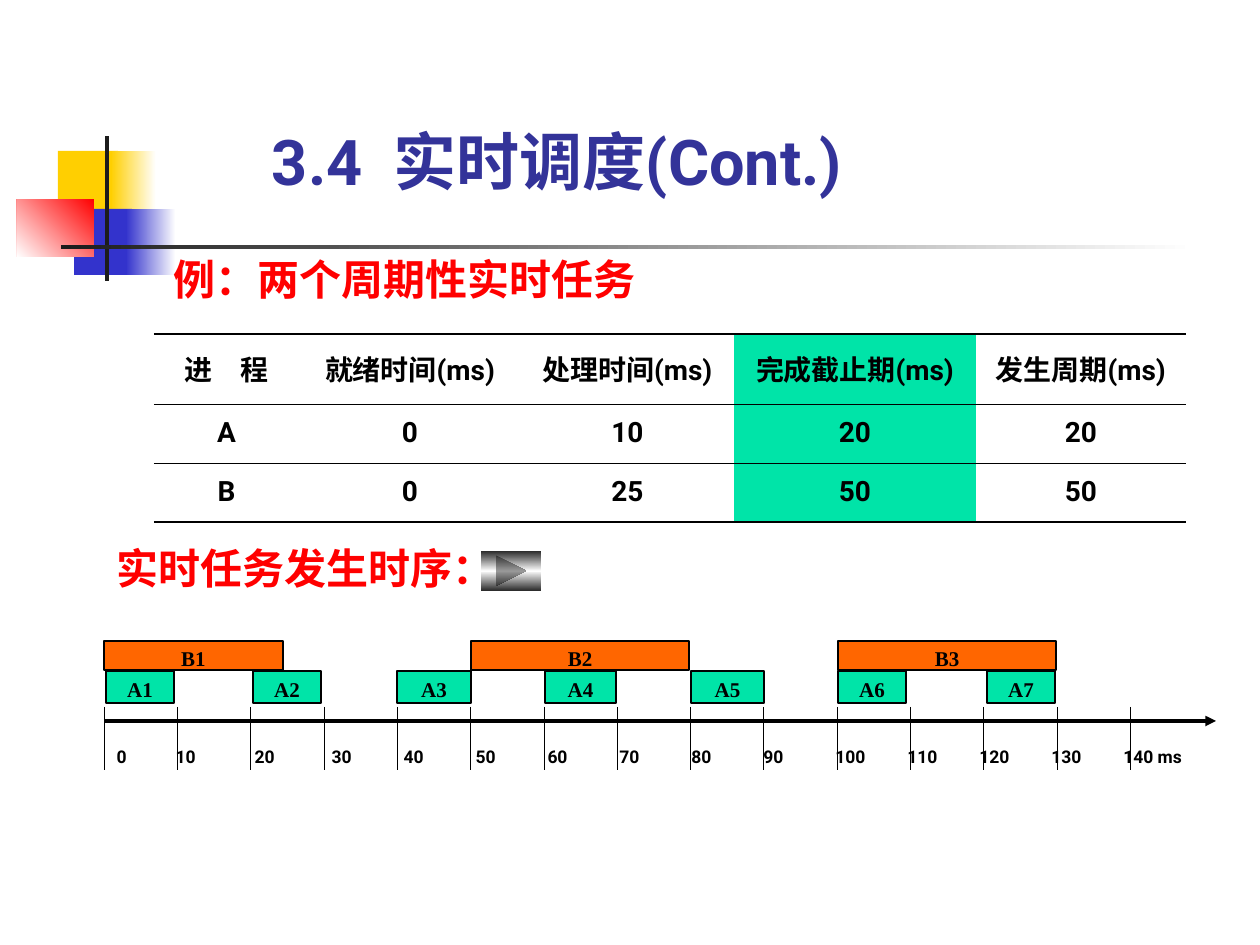
from pptx import Presentation
from pptx.dml.color import RGBColor
from pptx.enum.lang import MSO_LANGUAGE_ID as LANG
from pptx.enum.shapes import MSO_CONNECTOR as CONN, MSO_SHAPE as SHAPE
from pptx.enum.text import MSO_ANCHOR as ANCHOR, PP_ALIGN as ALIGN
from pptx.oxml import parse_xml
from pptx.oxml.ns import nsdecls, qn
from pptx.util import Pt

SCALE = 914400 / 126
BLACK, WHITE, GREEN, ORANGE, RED = "000000", "FFFFFF", "00E4A8", "FF6600", "FF0000"
YELLOW, BLUE, DARK, TITLE_BLUE = "FFCF01", "3333CC", "1C1C1C", "333399"
SANS, SERIF = "Roboto", "Times New Roman"
NO_STYLE = "{2D5ABB26-0587-4C30-8999-92F81FD0307C}"

# box, colours from start to end, angle
DECOR = [
    ((58, 151, 60, 66), [YELLOW], 0),
    ((111, 151, 45, 66), [WHITE, YELLOW], 180),
    ((74, 209, 58, 66), [BLUE], 0),
    ((126, 209, 50, 66), [WHITE, BLUE], 180),
    ((17, 199, 77, 58), [RED, WHITE], 135),
    ((105, 136, 4, 145), [DARK], 0),
    ((61, 245, 1134, 4), [WHITE, DARK], 180),
]
TITLE = ("3.4  实时调度(Cont.)", (272, 108, 689, 90), 36, SANS, TITLE_BLUE)
EXAMPLE = ("例：两个周期性实时任务", (174, 248, 882, 67), 24, SANS, RED)
SEQUENCE = ("实时任务发生时序：", (117, 543, 392, 61), 24, SERIF, RED)
TASKS = [
    ["进　程", "就绪时间(ms)", "处理时间(ms)", "完成截止期(ms)", "发生周期(ms)"],
    ["A", "0", "10", "20", "20"],
    ["B", "0", "25", "50", "50"],
]
TASK_COLS, TASK_ROWS, DEADLINE_COL = [145, 222, 213, 242, 210], [70, 59, 59], 3
TIMES = [str(t) for t in range(0, 140, 10)] + ["140 ms"]
TIME_COLS = [59, 79, 77] + [72] * 11 + [92]
AXIS_LEFT, AXIS_RIGHT, AXIS_Y, AXIS_WIDTH = 104, 1216, 721, 1100
BARS = [
    ("A", 671, 32, GREEN, [(106, 68), (253, 68), (397, 74), (545, 71),
                           (691, 73), (838, 68), (987, 68)]),
    ("B", 641, 29, ORANGE, [(104, 179), (471, 218), (838, 218)]),
]


def px(n):
    return round(n * SCALE)


def rgb(h):
    return RGBColor.from_string(h)


def add_run(p, text, size, font, color):
    r = p.add_run()
    r.text = text
    f = r.font
    f.size, f.name, f.bold, f.language_id = Pt(size), font, True, LANG.SIMPLIFIED_CHINESE
    f.color.rgb = rgb(color)


def set_insets(tf, left=0, top=0, right=0, bottom=0):
    tf.margin_left, tf.margin_top = px(left), px(top)
    tf.margin_right, tf.margin_bottom = px(right), px(bottom)


def add_text(s, text, box, size, font, color, anchor=ANCHOR.TOP, spacing=1):
    tf = s.shapes.add_textbox(*map(px, box)).text_frame
    tf.word_wrap = True
    tf.vertical_anchor = anchor
    set_insets(tf)
    tf.paragraphs[0].line_spacing = spacing
    add_run(tf.paragraphs[0], text, size, font, color)


def add_box(s, box, colors, angle=0, kind=SHAPE.RECTANGLE):
    sp = s.shapes.add_shape(kind, *map(px, box))
    sp.shadow.inherit = False
    sp.line.fill.background()
    if len(colors) == 1:
        sp.fill.solid()
        sp.fill.fore_color.rgb = rgb(colors[0])
        return sp
    step = 100000 // (len(colors) - 1)
    stops = "".join(f'<a:gs pos="{i * step}"><a:srgbClr val="{c}"/></a:gs>'
                    for i, c in enumerate(colors))
    sp._element.spPr.find(qn("a:prstGeom")).addnext(parse_xml(
        f'<a:gradFill rotWithShape="1" {nsdecls("a")}><a:gsLst>{stops}</a:gsLst>'
        f'<a:lin ang="{angle * 60000}" scaled="0"/></a:gradFill>'))
    return sp


def add_grid(s, left, top, cols, rows):
    width, height = sum(cols), sum(rows)
    table = s.shapes.add_table(len(rows), len(cols), px(left), px(top),
                               px(width), px(height)).table
    table.first_row = table.horz_banding = False
    table._tbl.tblPr[0].text = NO_STYLE
    for col, w in zip(table.columns, cols):
        col.width = px(w)
    for row, h in zip(table.rows, rows):
        row.height = px(h)
    return table


def add_border(cell, side, points):
    cell._tc.get_or_add_tcPr().append(parse_xml(
        f'<a:ln{side} w="{Pt(points)}" {nsdecls("a")}><a:solidFill>'
        f'<a:srgbClr val="{BLACK}"/></a:solidFill></a:ln{side}>'))


def add_tasks(s):
    table = add_grid(s, 154, 334, TASK_COLS, TASK_ROWS)
    borders = [[("T", 1), ("B", 0.5)], [("T", 0.5)], [("B", 0.75)]]
    for i, row in enumerate(TASKS):
        for j, text in enumerate(row):
            cell = table.cell(i, j)
            for side, points in borders[i]:
                add_border(cell, side, points)
            if j == DEADLINE_COL:
                cell.fill.solid()
                cell.fill.fore_color.rgb = rgb(GREEN)
            p = cell.text_frame.paragraphs[0]
            p.alignment, p.line_spacing = ALIGN.CENTER, 1.2
            add_run(p, text, 16, SANS, BLACK)


def add_axis(s):
    labels = add_grid(s, AXIS_LEFT, 741, TIME_COLS, [30])
    for cell, text in zip(labels.iter_cells(), TIMES):
        add_run(cell.text_frame.paragraphs[0], text, 10, SANS, BLACK)
    line = s.shapes.add_connector(CONN.STRAIGHT, px(AXIS_LEFT), px(AXIS_Y),
                                  px(AXIS_RIGHT), px(AXIS_Y))
    line.line.color.rgb = rgb(BLACK)
    line.line.width = Pt(2)
    line.line._get_or_add_ln().append(
        parse_xml(f'<a:tailEnd type="triangle" {nsdecls("a")}/>'))
    line._element.spPr.append(parse_xml(f'<a:effectLst {nsdecls("a")}/>'))
    count = len(TIMES)
    ticks = add_grid(s, AXIS_LEFT, 707, [AXIS_WIDTH / count] * count, [63])
    for cell in ticks.iter_cells():
        add_border(cell, "L", 0.5)
        cell.text_frame.paragraphs[0].font.size = Pt(10)


def add_bars(s):
    for name, top, height, color, spans in BARS:
        for i, (left, width) in enumerate(spans, 1):
            sp = add_box(s, (left, top, width, height), [color])
            sp.line.color.rgb = rgb(BLACK)
            sp.line.width = Pt(0.75)
            tf = sp.text_frame
            tf.word_wrap = False
            tf.vertical_anchor = ANCHOR.MIDDLE
            set_insets(tf, 12, 6, 12, 1)
            tf.paragraphs[0].alignment = ALIGN.CENTER
            add_run(tf.paragraphs[0], f"{name}{i}", 12, SERIF, BLACK)


def main():
    """Build the real-time scheduling slide."""
    prs = Presentation()
    prs.slide_width, prs.slide_height = px(1260), px(945)
    s = prs.slides.add_slide(prs.slide_layouts[6])
    for box, colors, angle in DECOR:
        add_box(s, box, colors, angle)
    add_text(s, *TITLE, anchor=ANCHOR.BOTTOM)
    add_tasks(s)
    add_text(s, *EXAMPLE, spacing=1.1)
    add_axis(s)
    add_bars(s)
    add_text(s, *SEQUENCE)
    add_box(s, (481, 551, 60, 40), ["292929", "FEFEFE", "292929"], 90,
            SHAPE.ACTION_BUTTON_FORWARD_OR_NEXT)
    prs.save("out.pptx")


if __name__ == "__main__":
    main()
